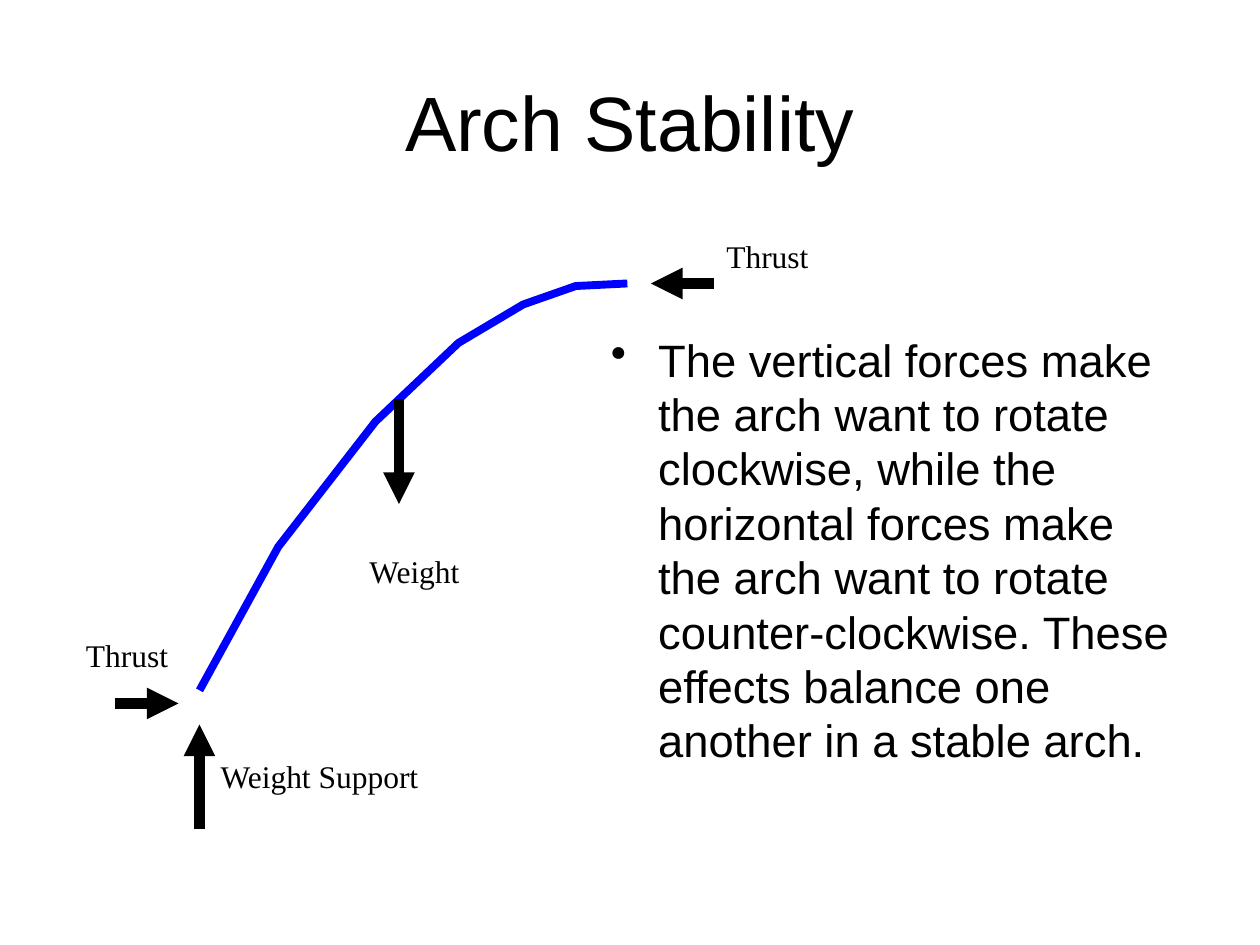
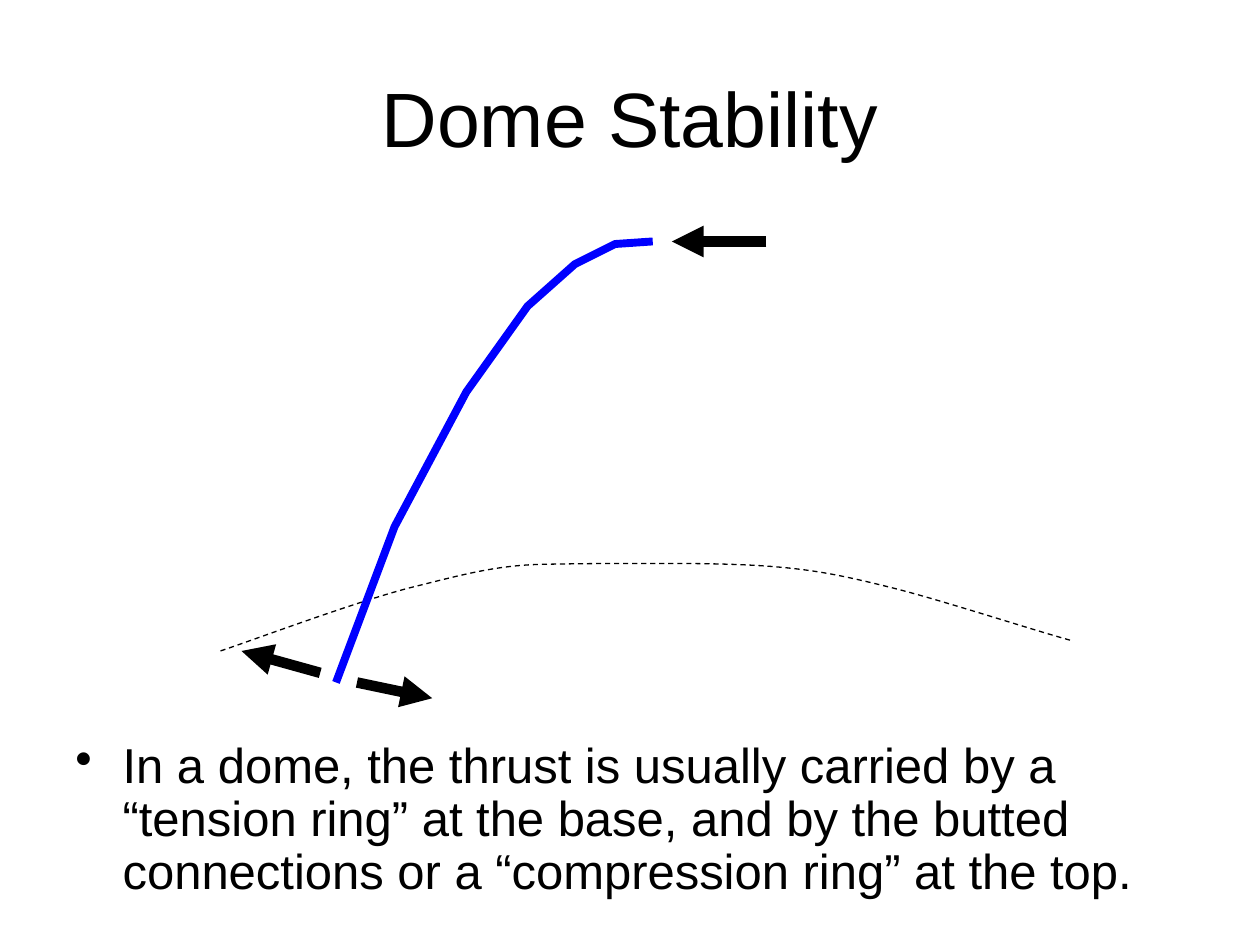
from dataclasses import dataclass

from pptx import Presentation
from pptx.dml.color import RGBColor
from pptx.enum import dml, shapes, text
from pptx.oxml.xmlchemy import OxmlElement
from pptx.util import Pt

BLACK = RGBColor(0, 0, 0)
BLUE = RGBColor(0, 0, 255)
SANS, SERIF = "Arial", "Times New Roman"

TITLE = dict(name=SANS, size=Pt(44))
LABEL = dict(name=SERIF, size=Pt(18))
INDENT = Pt(27)

Point = tuple[float, float]


@dataclass(frozen=True)
class Arrow:
    start: Point
    tip: Point


@dataclass(frozen=True)
class Label:
    words: str
    left: float
    top: float
    width: float


@dataclass(frozen=True)
class Body:
    words: str
    box: tuple[float, float, float, float]
    size: float
    pitch: float


@dataclass(frozen=True)
class Page:
    title: str
    top: float
    body: Body
    rib: list[Point]
    arrows: list[Arrow]
    labels: tuple[Label, ...] = ()
    ring: tuple[Point, ...] = ()


PAGES = [
    Page(
        "Arch Stability",
        24,
        Body(
            "The vertical forces make the arch want to rotate clockwise, while "
            "the horizontal forces make the arch want to rotate "
            "counter-clockwise. These effects balance one another in a stable "
            "arch.",
            (342, 186, 342, 297), 25.9, 1.0,
        ),
        [(114, 394.5), (159, 312.5), (214.5, 241), (262, 196), (299, 174),
         (329, 163.5), (358.5, 162)],
        [
            Arrow((66, 402), (102, 402)),
            Arrow((408, 162), (372, 162)),
            Arrow((114, 474), (114, 414)),
            Arrow((228, 228), (228, 288)),
        ],
        labels=(
            Label("Thrust", 42, 360, 66),
            Label("Weight Support", 119, 429, 134),
            Label("Weight", 204, 312, 72),
            Label("Thrust", 408, 132, 66),
        ),
    ),
    Page(
        "Dome Stability",
        21.6,
        Body(
            "In a dome, the thrust is usually carried by a “tension ring” at "
            "the base, and by the butted connections or a “compression ring” "
            "at the top.",
            (36, 420, 648, 102), 28, 0.9,
        ),
        [(192, 390), (225.5, 301), (266.5, 224), (301.5, 175), (328.5, 151),
         (351.5, 139.5), (373, 138)],
        [
            Arrow((204, 390), (247, 399)),
            Arrow((183, 384.5), (138, 372)),
            Arrow((438, 138), (384, 138)),
        ],
        ring=(
            (126, 372),
            (144, 366), (203, 344), (234, 336),
            (266, 328), (284, 323), (311, 322.5),
            (338, 322), (352, 322), (373, 322),
            (394, 322), (421, 322), (444, 324),
            (467, 326), (482, 329), (510, 336),
            (538, 343), (590, 360), (612, 366),
        ),
    ),
]


def style(target, values: dict) -> None:
    for key, value in values.items():
        setattr(target, key, value)


def write(slide, words: str, box, font: dict, frame: dict, para: dict,
          bullet: bool = False) -> None:
    """Add a text box with one paragraph."""
    area = slide.shapes.add_textbox(*map(Pt, box)).text_frame
    style(area, frame)
    line = area.paragraphs[0]
    line.text = words
    style(line, para)
    if bullet:
        props = line._p.get_or_add_pPr()
        props.set("marL", str(INDENT))
        props.set("indent", str(-INDENT))
        mark = OxmlElement("a:buChar")
        mark.set("char", "•")
        props.append(mark)
    style(line.font, font)
    line.font.color.rgb = BLACK


def trace(slide, points, color: RGBColor, width: float):
    """Draw an open outline through the points."""
    spots = [(Pt(x), Pt(y)) for x, y in points]
    pen = slide.shapes.build_freeform(*spots[0])
    pen.add_line_segments(spots[1:], close=False)
    shape = pen.convert_to_shape()
    shape.shadow.inherit = False
    shape.fill.background()
    shape.line.color.rgb = color
    shape.line.width = Pt(width)
    return shape


def bend(shape) -> None:
    """Turn each three line segments into one cubic curve."""
    path = shape._element.xpath(".//a:path")[0]
    steps = path.xpath("./a:lnTo")
    for first in range(0, len(steps), 3):
        curve = OxmlElement("a:cubicBezTo")
        for step in steps[first:first + 3]:
            curve.append(step[0])
            path.remove(step)
        path.append(curve)


def point(slide, arrow: Arrow) -> None:
    """Draw an arrow."""
    line = slide.shapes.add_connector(
        shapes.MSO_CONNECTOR.STRAIGHT, *map(Pt, arrow.start + arrow.tip))
    line.line.color.rgb = BLACK
    line.line.width = Pt(6)
    head = OxmlElement("a:tailEnd")
    head.set("type", "triangle")
    line.line._get_or_add_ln().append(head)
    line._element.spPr.append(OxmlElement("a:effectLst"))


def draw(slide, page: Page) -> None:
    if page.ring:
        ring = trace(slide, page.ring, BLACK, 0.75)
        ring.line.dash_style = dml.MSO_LINE.DASH
        bend(ring)
    body = page.body
    write(slide, body.words, body.box, dict(name=SANS, size=Pt(body.size)),
          dict(word_wrap=True), dict(line_spacing=body.pitch), bullet=True)
    write(slide, page.title, (36, page.top, 648, 90), TITLE,
          dict(word_wrap=True, vertical_anchor=text.MSO_ANCHOR.MIDDLE),
          dict(alignment=text.PP_ALIGN.CENTER))
    trace(slide, page.rib, BLUE, 4.5)
    for arrow in page.arrows:
        point(slide, arrow)
    for label in page.labels:
        write(slide, label.words, (label.left, label.top, label.width, 29),
              LABEL, dict(word_wrap=True), {})


def main() -> None:
    deck = Presentation()
    style(deck, dict(slide_width=Pt(720), slide_height=Pt(540)))
    for page in PAGES:
        draw(deck.slides.add_slide(deck.slide_layouts[6]), page)
    deck.save("out.pptx")


if __name__ == "__main__":
    main()
